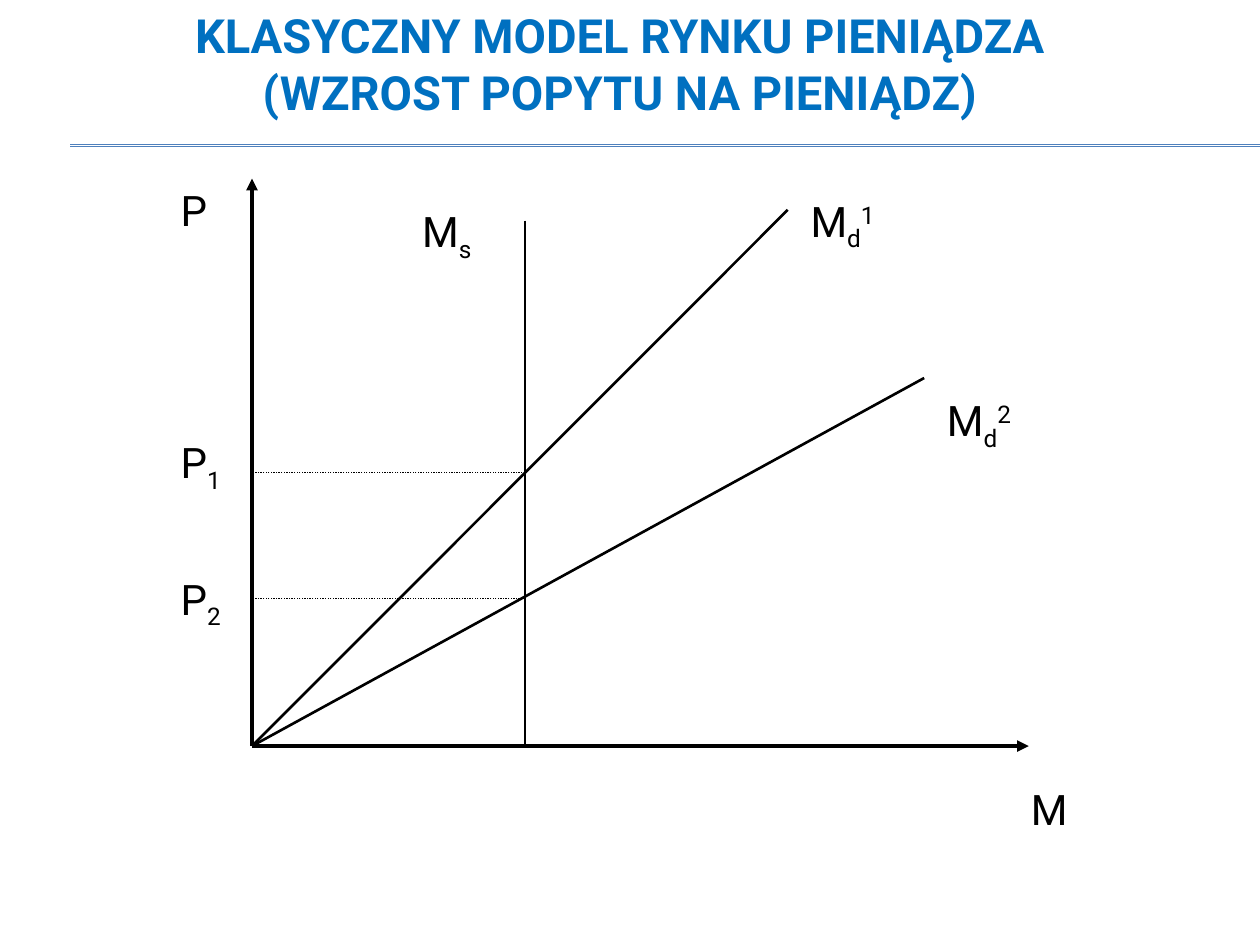
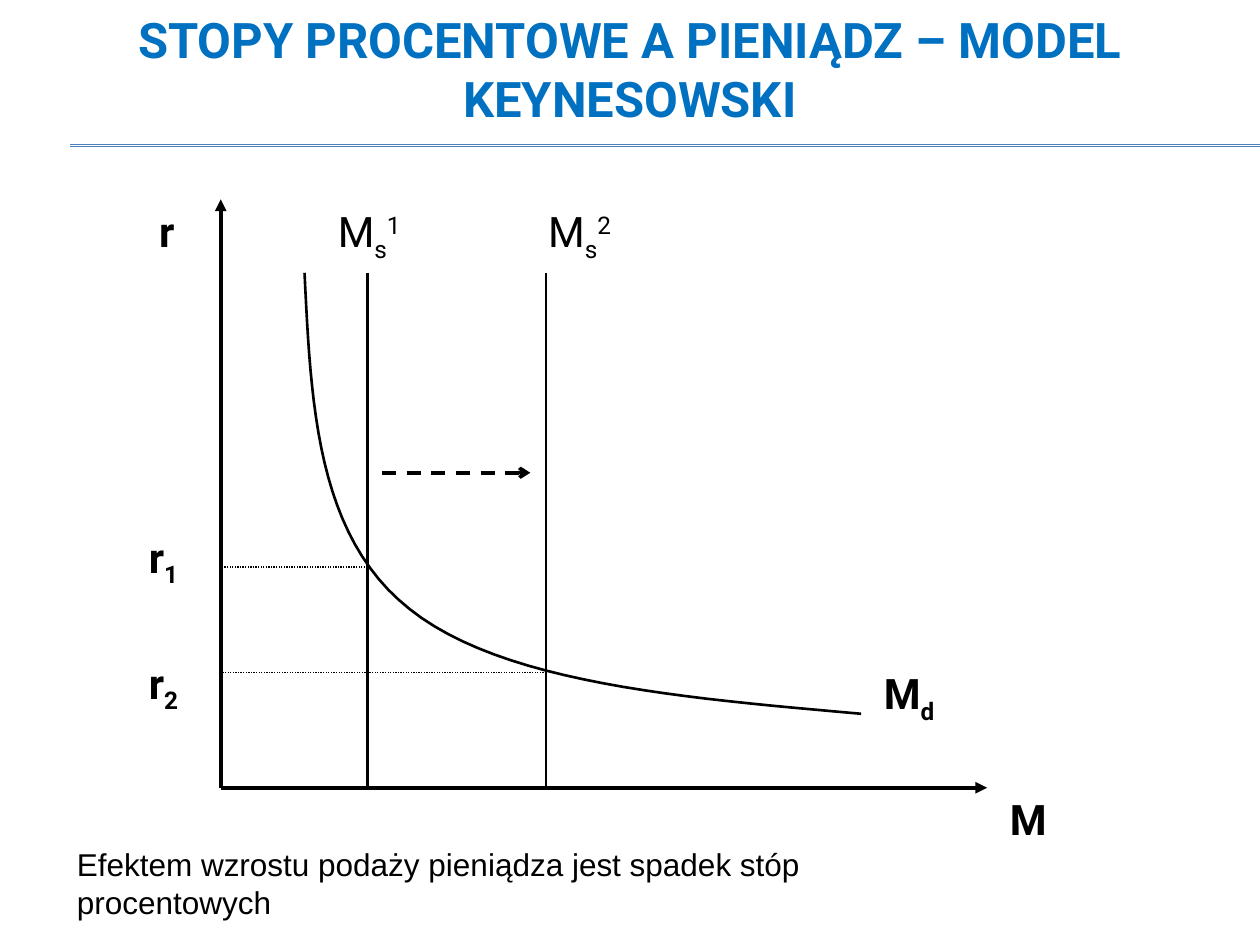
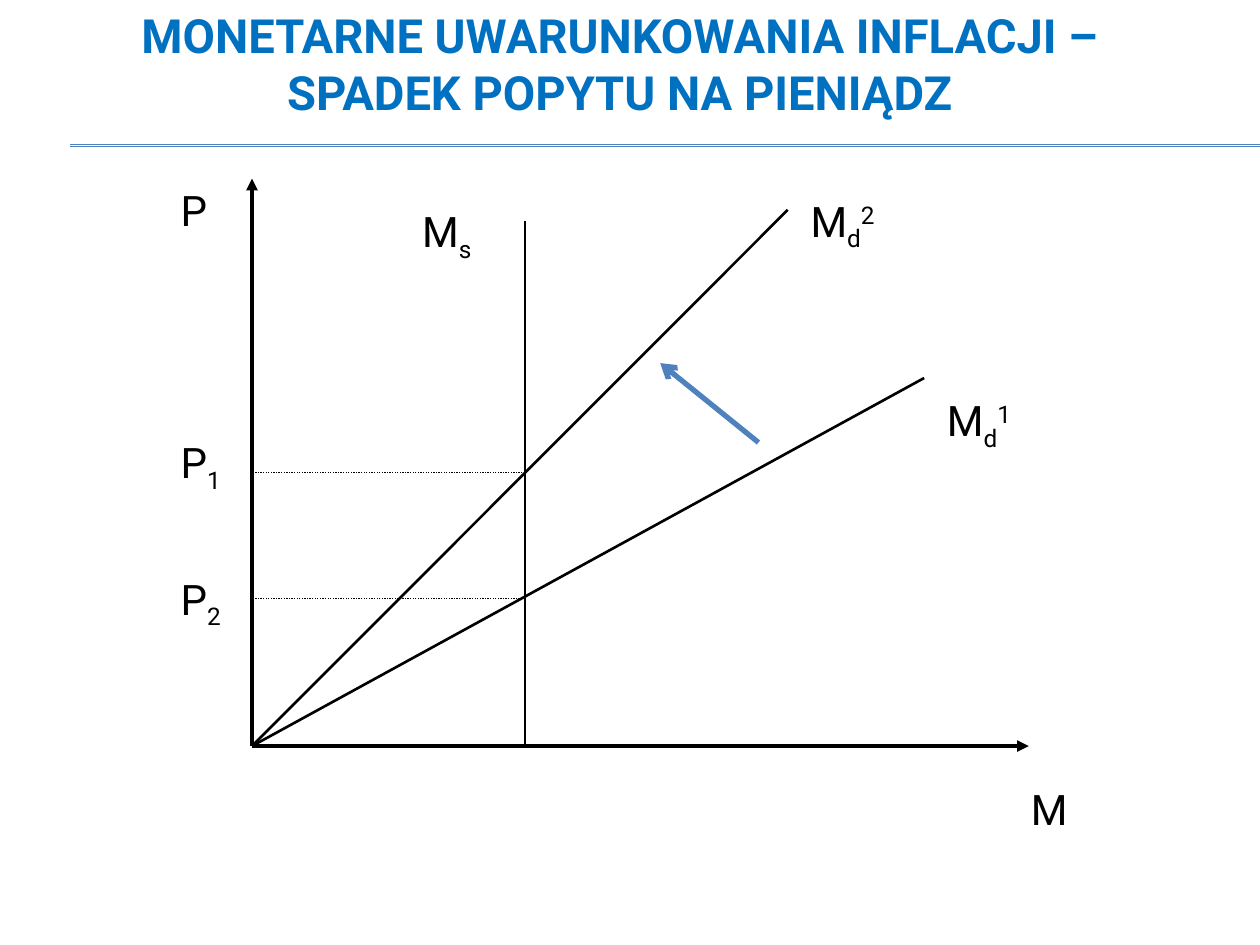
from dataclasses import dataclass

from lxml import etree
from pptx import Presentation
from pptx.dml.color import RGBColor
from pptx.enum.dml import MSO_LINE
from pptx.enum.shapes import MSO_CONNECTOR
from pptx.enum.text import MSO_ANCHOR, MSO_AUTO_SIZE, PP_ALIGN
from pptx.oxml.ns import qn
from pptx.util import Cm, Pt

STRAIGHT = MSO_CONNECTOR.STRAIGHT
DOTTED, DASHED = MSO_LINE.ROUND_DOT, MSO_LINE.DASH
GROW = MSO_AUTO_SIZE.SHAPE_TO_FIT_TEXT
MIDDLE, CENTER = MSO_ANCHOR.MIDDLE, PP_ALIGN.CENTER
BLANK_LAYOUT = 6
SUBSCRIPT, SUPERSCRIPT = "-25000", "30000"


@dataclass(frozen=True)
class Theme:
    ink: RGBColor = RGBColor(0x00, 0x00, 0x00)
    title: RGBColor = RGBColor(0x00, 0x70, 0xC0)
    accent: RGBColor = RGBColor(0x4F, 0x81, 0xBD)
    font: str = "Roboto"
    note_font: str = "Arial"
    label_size: float = 24
    note_size: float = 18
    hairline: float = 0.75
    curve_line: float = 1.5
    axis_line: float = 2.25


class Deck:
    """Holds the style and the slide being drawn; all lengths are in cm."""

    def __init__(self, theme):
        self.theme = theme
        self.prs = Presentation()
        self.prs.slide_width, self.prs.slide_height = Cm(25.4), Cm(19.05)
        self.slide = None

    def new_slide(self, title, left=1.7, height=2.54, size=26.9):
        layout = self.prs.slide_layouts[BLANK_LAYOUT]
        self.slide = self.prs.slides.add_slide(layout)
        for y in (2.92, 2.95):
            self.line((1.42, y), (25.4, y), self.theme.hairline, self.theme.accent)
        frame = self.text_frame(left, 0, 21.59, height)
        frame.vertical_anchor = MIDDLE
        heading = frame.paragraphs[0]
        heading.text = title
        heading.alignment = CENTER
        self.style(heading, self.theme.font, size, self.theme.title, True)

    def text_frame(self, left, top, width, height):
        box = self.slide.shapes.add_textbox(Cm(left), Cm(top), Cm(width), Cm(height))
        box.text_frame.word_wrap = True
        return box.text_frame

    def style(self, paragraph, name, size, color, bold=False):
        font = paragraph.font
        font.name, font.size, font.bold = name, Pt(size), bold
        font.color.rgb = color

    def label(self, left, top, width, base, sub="", sup="", bold=False):
        frame = self.text_frame(left, top, width, 1.4 if sub else 1.27)
        frame.auto_size = GROW
        symbol = frame.paragraphs[0]
        symbol.space_before = Pt(12)
        self.style(symbol, self.theme.font, self.theme.label_size, self.theme.ink, bold)
        for text, baseline in ((base, None), (sub, SUBSCRIPT), (sup, SUPERSCRIPT)):
            if text:
                run = symbol.add_run()
                run.text = text
                if baseline:
                    run.font._element.set("baseline", baseline)

    def note(self, left, top, width, height, text):
        frame = self.text_frame(left, top, width, height)
        frame.auto_size = GROW
        frame.paragraphs[0].text = text
        self.style(frame.paragraphs[0], self.theme.note_font,
                   self.theme.note_size, self.theme.ink)

    def line(self, start, end, width=None, color=None, dash=None, arrow=None):
        points = [Cm(value) for value in (*start, *end)]
        connector = self.slide.shapes.add_connector(STRAIGHT, *points)
        connector.line.width = Pt(width or self.theme.curve_line)
        connector.line.color.rgb = color or self.theme.ink
        if dash:
            connector.line.dash_style = dash
        properties = connector._element.spPr
        if arrow:
            outline = properties.find(qn("a:ln"))
            etree.SubElement(outline, qn("a:tailEnd"), type=arrow)
        etree.SubElement(properties, qn("a:effectLst"))

    def axes(self, origin, top, right):
        for end in ((origin[0], top), (right, origin[1])):
            self.line(origin, end, self.theme.axis_line, arrow="triangle")

    def guide(self, right, left, y):
        self.line((right, y), (left, y), self.theme.hairline, dash=DOTTED)

    def curve(self, *segments, steps=24):
        """Draws joined cubic segments, each given by four control points."""
        points = [bezier(segment, step / steps)
                  for segment in segments for step in range(steps + 1)]
        (x, y), *rest = [(Cm(px), Cm(py)) for px, py in points]
        builder = self.slide.shapes.build_freeform(x, y)
        builder.add_line_segments(rest, close=False)
        shape = builder.convert_to_shape()
        shape.shadow.inherit = False
        shape.fill.background()
        shape.line.color.rgb = self.theme.ink
        shape.line.width = Pt(self.theme.curve_line)


def bezier(controls, t):
    weights = ((1 - t) ** 3, 3 * t * (1 - t) ** 2, 3 * t ** 2 * (1 - t), t ** 3)
    return tuple(sum(w * point[axis] for w, point in zip(weights, controls))
                 for axis in (0, 1))


def classical_market(deck, steep_demand, flat_demand):
    """Price level against money, with two demand lines from the origin."""
    origin, supply_x = (5.08, 15.04), 10.58
    deck.axes(origin, top=3.6, right=20.74)
    deck.line(origin, (15.88, 4.23))
    deck.line((supply_x, 4.45), (supply_x, origin[1]))
    deck.line(origin, (18.63, 7.62))
    deck.label(3.39, 3.6, 1.48, "P")
    deck.label(20.53, 15.66, 1.27, "M")
    deck.label(8.26, 4.02, 1.91, "M", "s")
    deck.label(16.09, 3.81, 1.91, "M", "d", steep_demand)
    deck.label(18.84, 7.83, 2.12, "M", "d", flat_demand)
    for number, price_y, label_top in (("1", 9.53, 8.68), ("2", 12.07, 11.43)):
        deck.guide(supply_x, origin[0], price_y)
        deck.label(3.39, label_top, 1.48, "P", number)


def keynesian_market(deck):
    """Interest rate against money, with supply moving to the right."""
    origin = (4.45, 15.88)
    deck.axes(origin, top=4.02, right=19.9)
    middle = (8.26, 12.28)
    deck.curve(((6.14, 5.5), (6.27, 8.15), (6.38, 10.8), middle),
               (middle, (10.13, 13.77), (13.74, 14.07), (17.36, 14.39)))
    # Supply lines, each with its rate: x, label left and width, rate y, rate label top
    supplies = (("1", 7.41, 6.56, 1.91, 11.43, 10.58),
                ("2", 11.01, 10.8, 2.33, 13.55, 13.12))
    for number, supply_x, left, width, rate_y, rate_top in supplies:
        deck.line((supply_x, 5.5), (supply_x, origin[1]))
        deck.guide(supply_x, origin[0], rate_y)
        deck.label(left, 4.02, width, "M", "s", number)
        deck.label(2.75, rate_top, 1.48, "r", number, bold=True)
    deck.label(2.96, 4.02, 1.06, "r", bold=True)
    deck.label(20.11, 15.88, 1.27, "M", bold=True)
    deck.label(17.57, 13.34, 1.69, "M", "d", bold=True)
    deck.line((7.7, 9.53), (10.69, 9.53), 2, dash=DASHED, arrow="arrow")


def main():
    deck = Deck(Theme())

    # Growing demand for money
    deck.new_slide("KLASYCZNY MODEL RYNKU PIENIĄDZA\n(WZROST POPYTU NA PIENIĄDZ)")
    classical_market(deck, steep_demand="1", flat_demand="2")

    # Growing supply of money
    deck.new_slide("STOPY PROCENTOWE A PIENIĄDZ – MODEL KEYNESOWSKI",
                   left=1.9, height=2.75, size=28)
    keynesian_market(deck)
    deck.note(1.3, 16.92, 16.21, 1.78,
              "Efektem wzrostu podaży pieniądza jest spadek stóp procentowych")

    # Falling demand for money
    deck.new_slide("MONETARNE UWARUNKOWANIA INFLACJI – SPADEK POPYTU NA PIENIĄDZ")
    classical_market(deck, steep_demand="2", flat_demand="1")
    deck.line((15.29, 8.92), (13.31, 7.32), 3, deck.theme.accent, arrow="arrow")

    deck.prs.save("out.pptx")


if __name__ == "__main__":
    main()
